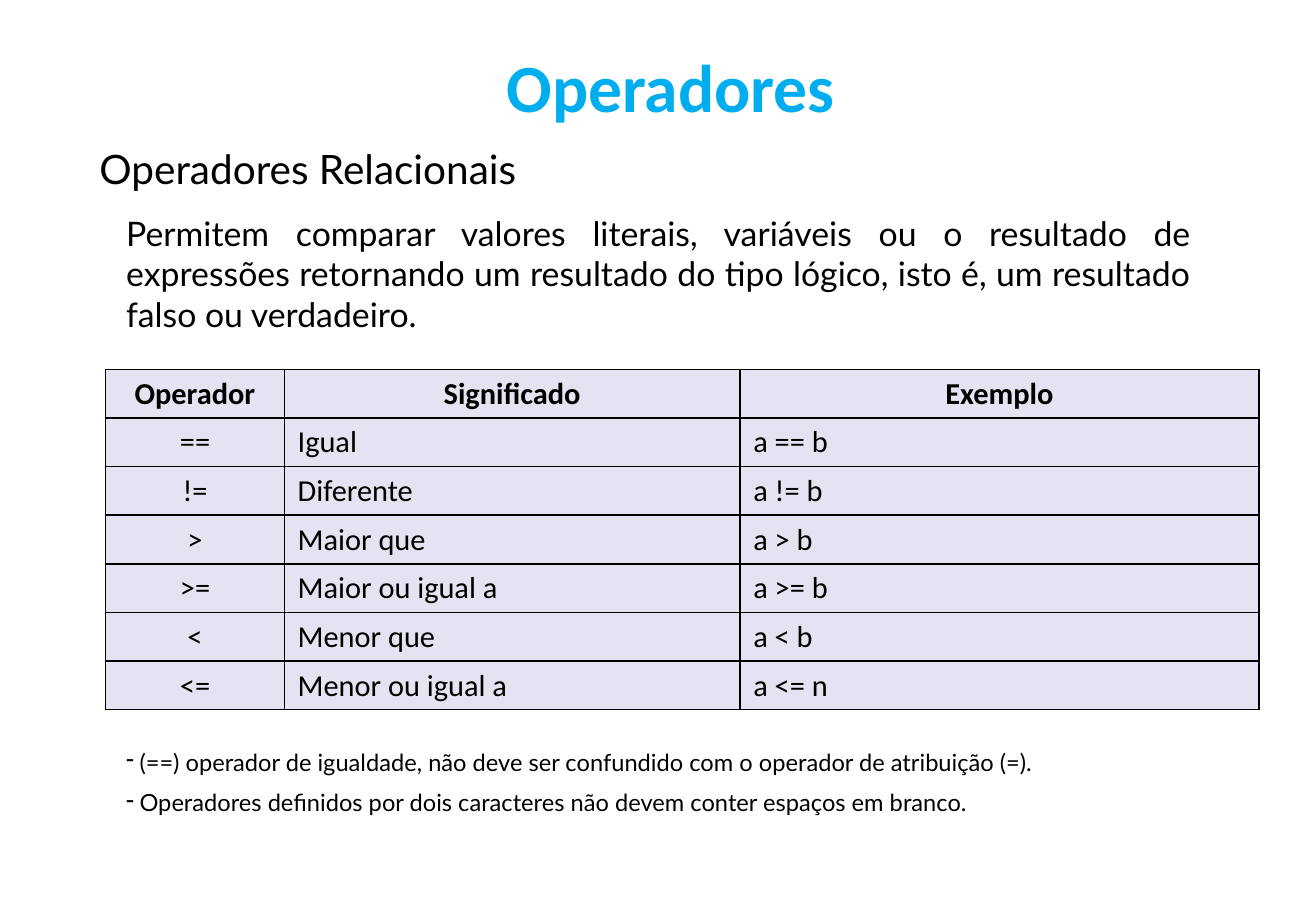
from lxml.etree import SubElement
from pptx import Presentation
from pptx.dml.color import RGBColor
from pptx.enum.text import MSO_ANCHOR, MSO_AUTO_SIZE, PP_ALIGN as Align
from pptx.oxml.ns import qn
from pptx.util import Inches, Pt

BLACK = RGBColor(0x00, 0x00, 0x00)
CYAN = RGBColor(0x00, 0xAE, 0xEF)
LAVENDER = RGBColor(0xE3, 0xE3, 0xF1)

GRID = Inches(0.1)  # side of one grid square
BODY_LEFT, BODY_WIDTH = 9.4, 89.6
ROW_HEIGHT = 4
COLUMN_WIDTHS = (14.7, 37.5, 42.7)

OPERATORS = [
    ("Operador", "Significado", "Exemplo"),
    ("==", "Igual", "a == b"),
    ("!=", "Diferente", "a != b"),
    (">", "Maior que", "a > b"),
    (">=", "Maior ou igual a", "a >= b"),
    ("<", "Menor que", "a < b"),
    ("<=", "Menor ou igual a", "a <= n"),
]
NOTES = [
    "(==) operador de igualdade, não deve ser confundido com o operador de atribuição (=).",
    "Operadores definidos por dois caracteres não devem conter espaços em branco.",
]


def squares(count):
    return int(count * GRID)


def add_run(paragraph, text, size, font="Lato", color=BLACK, bold=False):
    run = paragraph.add_run()
    run.text = text
    run.font.name = font
    run.font.size = Pt(size)
    run.font.bold = bold
    run.font.color.rgb = color


def add_dash(paragraph):
    properties = paragraph._p.get_or_add_pPr()
    indent = Inches(0.11)
    properties.set("marL", str(indent))
    properties.set("indent", str(-indent))
    SubElement(properties, qn("a:buChar"), char="-")


def add_title(slide, text):
    title = slide.shapes.title
    title.left, title.top, title.width, title.height = map(squares, (5.6, 2.8, 99.2, 8.5))
    frame = title.text_frame
    frame.auto_size = MSO_AUTO_SIZE.NONE
    frame.vertical_anchor = MSO_ANCHOR.MIDDLE
    paragraph = frame.paragraphs[0]
    paragraph.alignment = Align.CENTER
    add_run(paragraph, text, 40, "Calibri", CYAN, True)


def add_text(slide, left, top, height, texts, size, alignment=Align.LEFT, dashes=False):
    box = slide.shapes.add_textbox(*map(squares, (left, top, BODY_WIDTH, height)))
    frame = box.text_frame
    frame.word_wrap = True
    for index, text in enumerate(texts):
        paragraph = frame.add_paragraph() if index else frame.paragraphs[0]
        paragraph.alignment = alignment
        if index:
            paragraph.space_before = Pt(size / 2)
        if dashes:
            add_dash(paragraph)
        add_run(paragraph, text, size)


def add_borders(cell):
    properties = cell._tc.get_or_add_tcPr()
    for side in ("lnL", "lnR", "lnT", "lnB"):
        line = SubElement(properties, qn(f"a:{side}"), w=str(Pt(1)))
        fill = SubElement(line, qn("a:solidFill"))
        SubElement(fill, qn("a:srgbClr"), val=str(BLACK))


def add_operator_table(slide, left, top):
    row_count = len(OPERATORS)
    size = map(squares, (left, top, sum(COLUMN_WIDTHS), row_count * ROW_HEIGHT))
    table = slide.shapes.add_table(row_count, len(COLUMN_WIDTHS), *size).table
    table.first_row = table.horz_banding = False
    for column, width in zip(table.columns, COLUMN_WIDTHS):
        column.width = squares(width)
    for row_index, values in enumerate(OPERATORS):
        table.rows[row_index].height = squares(ROW_HEIGHT)
        header = row_index == 0
        for column_index, value in enumerate(values):
            cell = table.cell(row_index, column_index)
            cell.margin_left = cell.margin_right = Inches(0.11)
            add_borders(cell)
            cell.fill.solid()
            cell.fill.fore_color.rgb = LAVENDER
            paragraph = cell.text_frame.paragraphs[0]
            centred = header or column_index == 0
            paragraph.alignment = Align.CENTER if centred else Align.LEFT
            add_run(paragraph, value, 18, "Calibri", bold=header)


def main():
    presentation = Presentation()
    presentation.slide_width = Inches(10.83)
    presentation.slide_height = Inches(7.5)
    slide = presentation.slides.add_slide(presentation.slide_layouts[5])

    # Heading and definition
    add_title(slide, "Operadores")
    add_text(slide, 7.2, 11.4, 5, ["Operadores Relacionais"], 24)
    definition = (
        "Permitem comparar valores literais, variáveis ou o resultado de expressões "
        "retornando um resultado do tipo lógico, isto é, um resultado falso ou verdadeiro."
    )
    add_text(slide, BODY_LEFT, 17, 11, [definition], 20, Align.JUSTIFY)

    # Operators and remarks
    add_operator_table(slide, 8.7, 30.4)
    add_text(slide, BODY_LEFT, 61.1, 6.9, NOTES, 14, Align.JUSTIFY, dashes=True)

    presentation.save("out.pptx")


if __name__ == "__main__":
    main()
